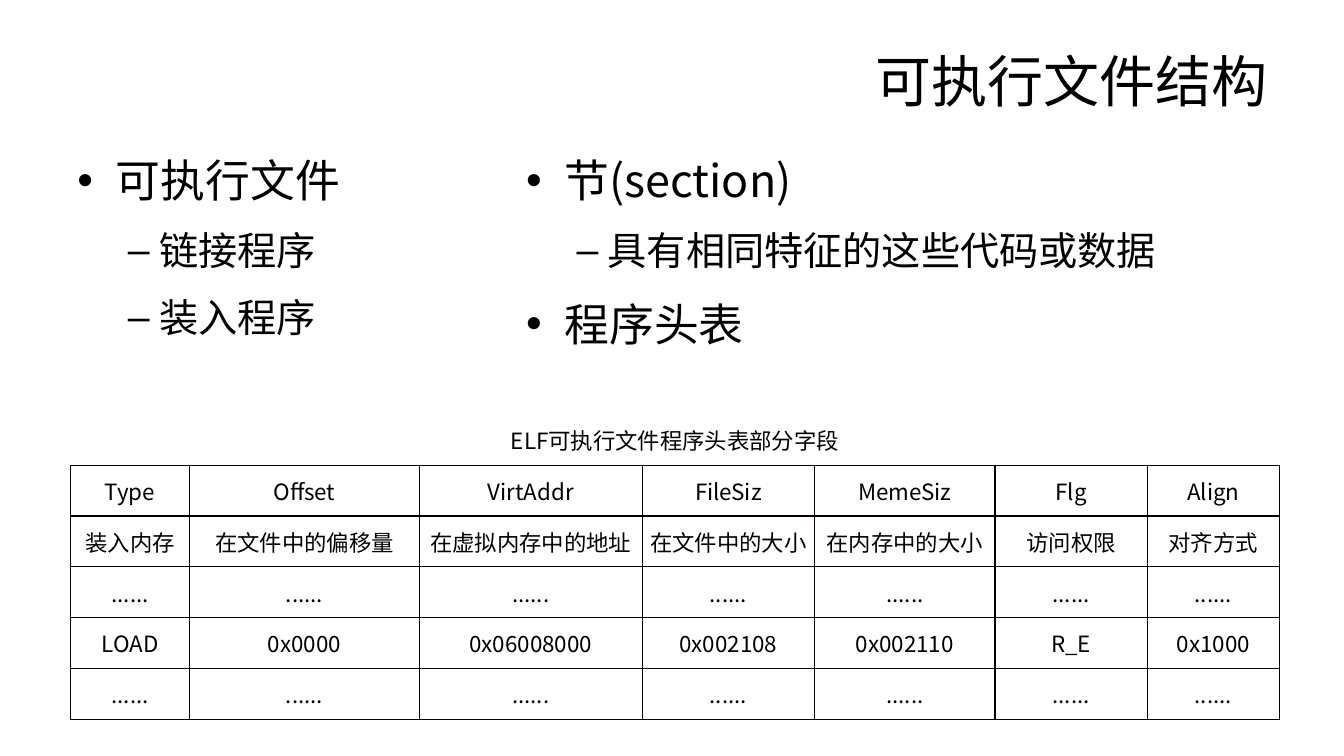
from pptx import Presentation
from pptx.dml.color import RGBColor
from pptx.enum.text import MSO_ANCHOR as Anchor, PP_ALIGN as Align
from pptx.oxml.ns import qn
from pptx.util import Inches, Pt
from lxml.etree import SubElement

SANS = "Noto Sans CJK SC"
BLACK = "000000"
BORDER = "080000"
# level: (bullet, size, left margin, hanging indent, space before)
LEVELS = {0: ("•", 32, 0.38, -0.38, 8.5), 1: ("–", 28, 0.81, -0.31, 7.5)}
COL_WIDTHS = [1.18, 2.28, 2.21, 1.71, 1.79, 1.51, 1.31]
DOTS = ["......"] * len(COL_WIDTHS)
HEADER_ROWS = [
    ["Type", "Offset", "VirtAddr", "FileSiz", "MemeSiz", "Flg", "Align"],
    ["装入内存", "在文件中的偏移量", "在虚拟内存中的地址", "在文件中的大小",
     "在内存中的大小", "访问权限", "对齐方式"],
    DOTS,
    ["LOAD", "0x0000", "0x06008000", "0x002108", "0x002110", "R_E", "0x1000"],
    DOTS,
]


def color(value):
    return RGBColor.from_string(value)


def add_run(p, text, size, font=SANS):
    r = p.add_run()
    r.text = text
    r.font.size = Pt(size)
    r.font.color.rgb = color(BLACK)
    r.font.name = font
    SubElement(r.font._element, qn("a:ea"), typeface=SANS)


def add_text_frame(s, box):
    tf = s.shapes.add_textbox(*map(Inches, box)).text_frame
    tf.word_wrap = True
    return tf


def add_title(s, box, text):
    tf = add_text_frame(s, box)
    tf.vertical_anchor = Anchor.MIDDLE
    p = tf.paragraphs[0]
    p.alignment = Align.RIGHT
    add_run(p, text, 40, "Arial")


def add_bullets(s, box, items):
    """Fill the box with (level, text) items."""
    tf = add_text_frame(s, box)
    tf.margin_top = Inches(0.12)
    for i, (level, text) in enumerate(items):
        bullet, size, margin, indent, before = LEVELS[level]
        p = tf.add_paragraph() if i else tf.paragraphs[0]
        p.level = level
        p.line_spacing = 1.2
        if i:
            p.space_before = Pt(before)
        pPr = p._p.get_or_add_pPr()
        pPr.set("marL", str(Inches(margin)))
        pPr.set("indent", str(Inches(indent)))
        SubElement(pPr, qn("a:buFont"), typeface="Arial")
        SubElement(pPr, qn("a:buChar"), char=bullet)
        add_run(p, text, size)


def set_borders(cell, visible):
    """Draw the sides named in visible and clear the others."""
    tcPr = cell._tc.get_or_add_tcPr()
    for side in "LRTB":
        ln = SubElement(tcPr, qn("a:ln" + side), w=str(Pt(1)))
        if side in visible:
            fill = SubElement(ln, qn("a:solidFill"))
            SubElement(fill, qn("a:srgbClr"), val=BORDER)
        else:
            SubElement(ln, qn("a:noFill"))


def add_header_table(s, box, caption, rows):
    """Place a table whose merged first row is its caption."""
    grid = [[caption] + [""] * (len(COL_WIDTHS) - 1)] + rows
    table = s.shapes.add_table(len(grid), len(COL_WIDTHS), *map(Inches, box)).table
    table.first_row = table.horz_banding = False
    for col, width in zip(table.columns, COL_WIDTHS):
        col.width = Inches(width)
    for i, texts in enumerate(grid):
        table.rows[i].height = Inches(box[3] / len(grid))
        for j, text in enumerate(texts):
            cell = table.cell(i, j)
            set_borders(cell, "LRTB" if i else "B")
            cell.fill.background()
            cell.vertical_anchor = Anchor.MIDDLE
            cell.margin_left = cell.margin_right = Inches(0.07)
            cell.margin_top = cell.margin_bottom = 0
            if text:
                p = cell.text_frame.paragraphs[0]
                p.alignment = Align.CENTER
                add_run(p, text, 16)
    table.cell(0, 0).merge(table.cell(0, len(COL_WIDTHS) - 1))


def main():
    prs = Presentation()
    prs.slide_width, prs.slide_height = Inches(13.33), Inches(7.5)
    s = prs.slides.add_slide(prs.slide_layouts[6])
    add_title(s, (0.67, 0.3, 12, 0.99), "可执行文件结构")
    add_bullets(s, (0.67, 1.29, 4.78, 2.5),
                [(0, "可执行文件"), (1, "链接程序"), (1, "装入程序")])
    add_header_table(s, (0.7, 4.11, 12, 3.03), "ELF可执行文件程序头表部分字段", HEADER_ROWS)
    add_bullets(s, (5.12, 1.29, 7.59, 2.68),
                [(0, "节(section)"), (1, "具有相同特征的这些代码或数据"), (0, "程序头表")])
    prs.save("out.pptx")


if __name__ == "__main__":
    main()
